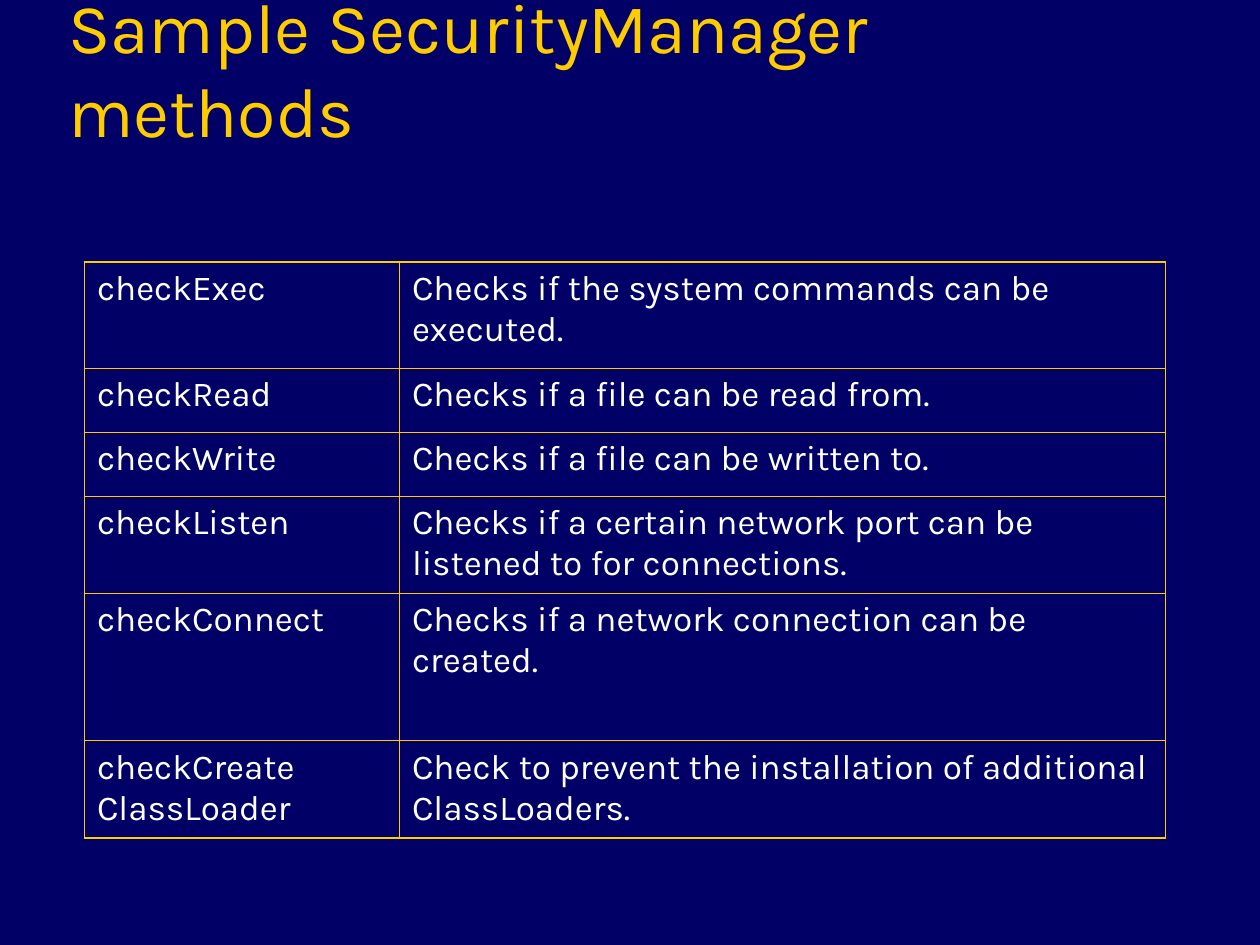
from lxml.etree import SubElement
from pptx import Presentation
from pptx.dml.color import RGBColor
from pptx.enum.text import MSO_ANCHOR, PP_ALIGN
from pptx.oxml.ns import qn
from pptx.util import Inches, Pt

COLORS = {"background": "000066", "accent": "FFCC00", "text": "FFFFFF"}
FONT = "Karla"
OUTER_LINE, INNER_LINE = Pt(1.08), Pt(0.45)
COLUMN_WIDTHS = [2.5, 6.08]
ROW_HEIGHTS = [0.84, 0.51, 0.51, 0.77, 1.17, 0.77]
METHODS = [
    ("checkExec", "Checks if the system commands can be executed."),
    ("checkRead", "Checks if a file can be read from."),
    ("checkWrite", "Checks if a file can be written to."),
    ("checkListen", "Checks if a certain network port can be listened to for connections."),
    ("checkConnect", "Checks if a network connection can be created."),
    ("checkCreate ClassLoader", "Check to prevent the installation of additional ClassLoaders."),
]


def format_text(paragraph, size, color):
    paragraph.alignment = PP_ALIGN.LEFT
    for run in paragraph.runs:
        run.font.name = FONT
        run.font.size = Pt(size)
        run.font.bold = False
        run.font.color.rgb = RGBColor.from_string(COLORS[color])


def add_title(slide, left, top, width, height):
    title = slide.shapes.title
    title.left, title.top, title.width, title.height = left, top, width, height
    frame = title.text_frame
    frame.text = "Sample SecurityManager methods"
    frame.word_wrap = True
    frame.vertical_anchor = MSO_ANCHOR.BOTTOM
    format_text(frame.paragraphs[0], 40, "accent")


def set_borders(cell, widths):
    properties = cell._tc.get_or_add_tcPr()
    for position, (side, width) in enumerate(widths.items()):
        border = properties.makeelement(qn(f"a:ln{side}"), {"w": str(width)})
        fill = SubElement(border, qn("a:solidFill"))
        SubElement(fill, qn("a:srgbClr"), val=COLORS["accent"])
        properties.insert(position, border)


def add_methods_table(slide, left, top, width, height):
    table = slide.shapes.add_table(
        len(METHODS), len(COLUMN_WIDTHS), left, top, width, height
    ).table
    table.first_row = False
    table.horz_banding = False
    for column, column_width in zip(table.columns, COLUMN_WIDTHS):
        column.width = Inches(column_width)
    last_row, last_column = len(METHODS) - 1, len(COLUMN_WIDTHS) - 1
    for row_index, method in enumerate(METHODS):
        table.rows[row_index].height = Inches(ROW_HEIGHTS[row_index])
        for column_index, content in enumerate(method):
            cell = table.cell(row_index, column_index)
            cell.fill.background()
            cell.text_frame.text = content
            paragraph = cell.text_frame.paragraphs[0]
            paragraph.space_before = Pt(5)
            format_text(paragraph, 20, "text")
            outer_sides = {
                "L": column_index == 0,
                "R": column_index == last_column,
                "T": row_index == 0,
                "B": row_index == last_row,
            }
            set_borders(cell, {
                side: OUTER_LINE if is_outer else INNER_LINE
                for side, is_outer in outer_sides.items()
            })


def main():
    presentation = Presentation()
    presentation.slide_width = Inches(10)
    presentation.slide_height = Inches(7.5)
    slide = presentation.slides.add_slide(presentation.slide_layouts[5])
    background = slide.background.fill
    background.solid()
    background.fore_color.rgb = RGBColor.from_string(COLORS["background"])
    add_title(slide, Inches(0.44), Inches(0.25), Inches(8.72), Inches(1))
    add_methods_table(slide, Inches(0.67), Inches(2.08), Inches(8.58), Inches(4.58))
    presentation.save("out.pptx")


if __name__ == "__main__":
    main()
